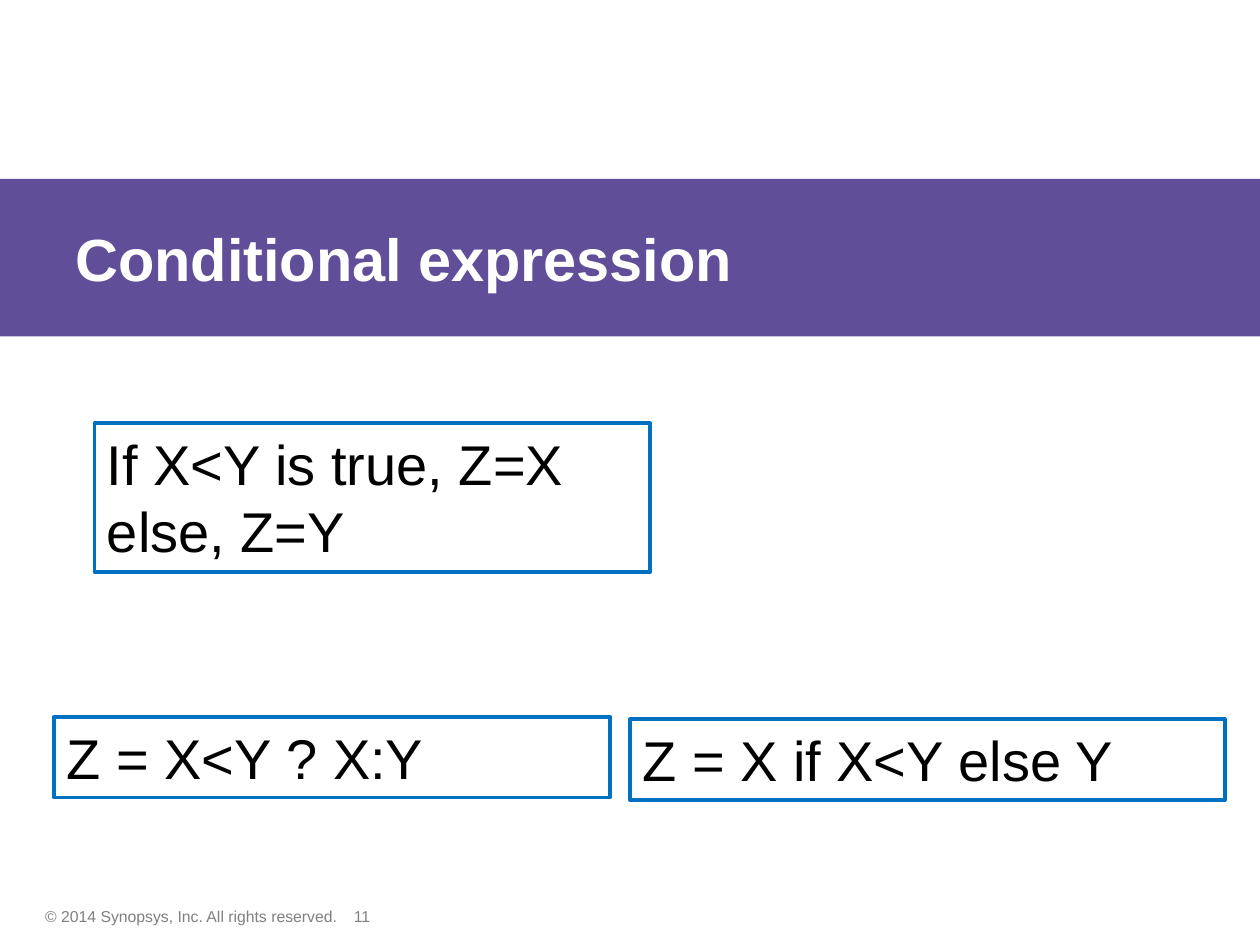
from pptx import Presentation
from pptx import util as u
from pptx.dml.color import RGBColor
from pptx.enum import shapes, text

FOOTER = {"size": u.Pt(9), "name": "Arial"}
TITLE = {"size": u.Pt(34), "name": "Arial", "bold": True}
CODE = {"size": u.Pt(32), "name": "Arial"}


def rgb(value):
    """Return the colour for a hex string."""
    return RGBColor.from_string(value)


def inches(box):
    """Return a left, top, width, height box as lengths."""
    return [u.Inches(v) for v in box]


def write(sp, lines, font, color, anchor=text.MSO_ANCHOR.TOP):
    """Write left-aligned lines into a shape, one paragraph each."""
    tf = sp.text_frame
    tf.word_wrap = True
    tf.vertical_anchor = anchor
    for i, line in enumerate(lines):
        p = tf.add_paragraph() if i else tf.paragraphs[0]
        p.alignment = text.PP_ALIGN.LEFT
        r = p.add_run()
        r.text = line
        for key, value in font.items():
            setattr(r.font, key, value)
        r.font.color.rgb = rgb(color)


def add_rect(s, box):
    """Add a rectangle without shadow."""
    sp = s.shapes.add_shape(shapes.MSO_SHAPE.RECTANGLE, *inches(box))
    sp.shadow.inherit = False
    return sp


def add_title_band(s, box, title):
    """Add the full-width band and the title set on it."""
    band = add_rect(s, box)
    band.fill.solid()
    band.fill.fore_color.rgb = rgb("604F98")
    band.line.fill.background()
    left, top, width, height = box
    sp = s.shapes.add_textbox(*inches((left + 0.5, top, width - 0.5, height)))
    write(sp, [title], TITLE, "FFFFFF", text.MSO_ANCHOR.MIDDLE)


def add_code_box(s, box, lines):
    """Add an outlined box of expression lines."""
    sp = add_rect(s, box)
    sp.fill.background()
    sp.line.color.rgb = rgb("0070C0")
    sp.line.width = u.Pt(2.25)
    write(sp, lines, CODE, "000000")


def add_footer(s, box, notice, number):
    """Add the copyright notice and the slide number after it."""
    left, top, width, height = box
    for x, w, line in ((left, width, notice), (left + 2.45, 0.7, number)):
        sp = s.shapes.add_textbox(*inches((x, top, w, height)))
        write(sp, [line], FOOTER, "808080")


def main():
    """Build and save the slide."""
    prs = Presentation()
    prs.slide_width, prs.slide_height = u.Inches(10), u.Inches(7.5)
    s = prs.slides.add_slide(prs.slide_layouts[6])
    add_footer(s, (0.26, 7.15, 3.08, 0.25),
               "© 2014 Synopsys, Inc. All rights reserved.", "11")
    add_title_band(s, (0, 1.42, 10, 1.25), "Conditional expression")
    for box, lines in (
        ((0.43, 5.69, 4.41, 0.64), ["Z = X<Y ? X:Y"]),
        ((5, 5.71, 4.72, 0.64), ["Z = X if X<Y else Y"]),
        ((0.75, 3.36, 4.41, 1.18), ["If X<Y is true, Z=X", "else, Z=Y"]),
    ):
        add_code_box(s, box, lines)
    prs.save("out.pptx")


if __name__ == "__main__":
    main()
